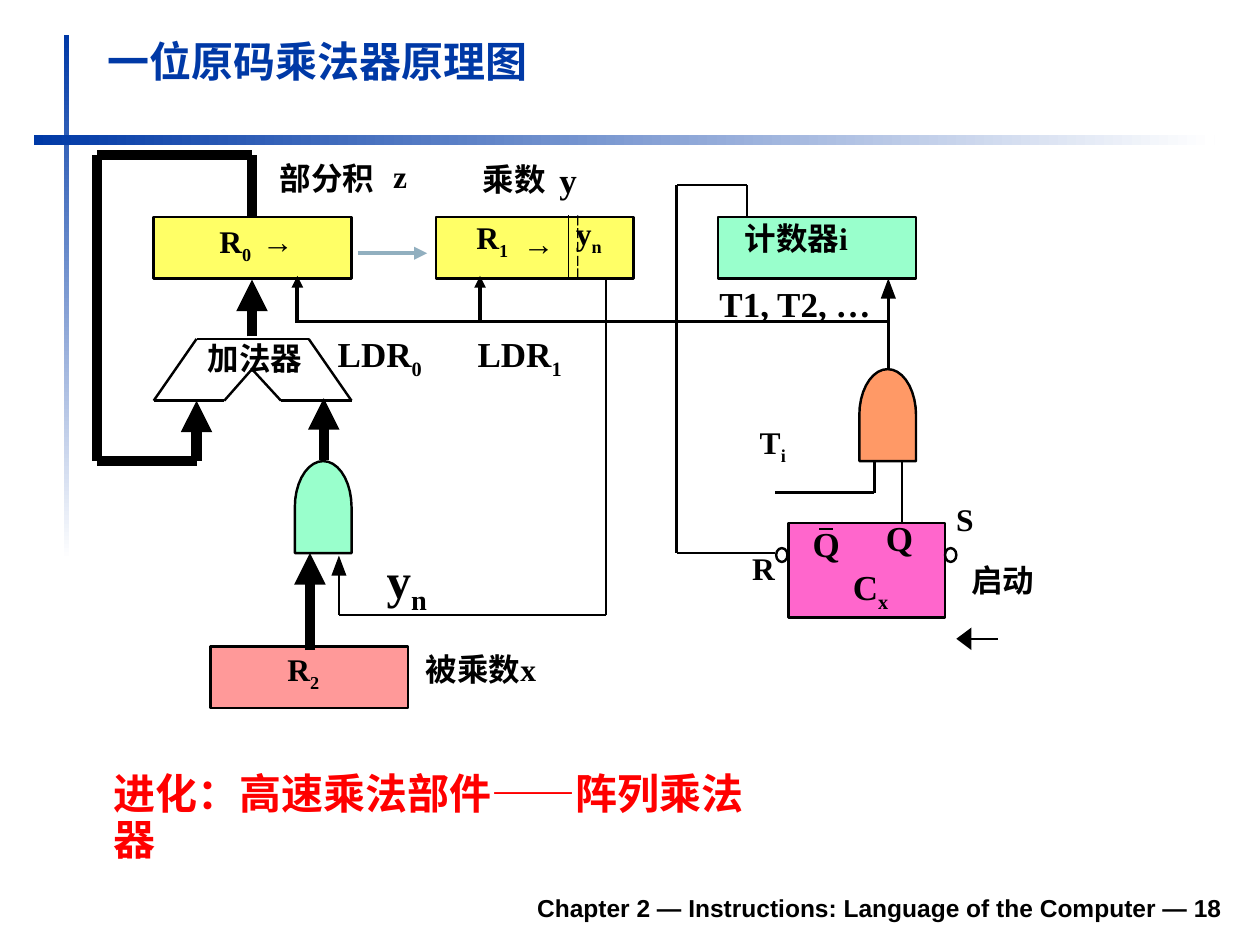
from itertools import pairwise
from math import cos, pi, sin

from lxml import etree
from pptx import Presentation
from pptx.dml.color import RGBColor
from pptx.enum.shapes import MSO_CONNECTOR, MSO_SHAPE
from pptx.enum.text import MSO_ANCHOR, MSO_AUTO_SIZE, PP_ALIGN
from pptx.oxml.ns import qn
from pptx.util import Pt

SCALE = 9144  # EMU in one px, 100 px to the inch
STRAIGHT = MSO_CONNECTOR.STRAIGHT
RECT, ROUND, OVAL = MSO_SHAPE.RECTANGLE, MSO_SHAPE.ROUNDED_RECTANGLE, MSO_SHAPE.OVAL
TOP, BOTTOM = MSO_ANCHOR.TOP, MSO_ANCHOR.BOTTOM
LEFT, RIGHT = PP_ALIGN.LEFT, PP_ALIGN.RIGHT
FIXED = MSO_AUTO_SIZE.NONE
SERIF, SANS = "Times New Roman", "Arial"
THIN, THICK = 1.39, 6
INSET = (10, 5)
COLORS = {
    "black": "000000", "white": "FFFFFF", "blue": "0039A6", "red": "FF0000",
    "yellow": "FFFF66", "rose": "FF9999", "mint": "99FFCC",
    "orange": "FF9966", "pink": "FF66CC", "steel": "91AFBF",
}


def rgb(name):
    return RGBColor.from_string(COLORS[name])


def px(*vals):
    return [round(v * SCALE) for v in vals]


def paint(shape, fill=None, line=None):
    shape.shadow.inherit = False
    if fill:
        shape.fill.solid()
        shape.fill.fore_color.rgb = rgb(fill)
    else:
        shape.fill.background()
    if line:
        shape.line.color.rgb = rgb("black")
        shape.line.width = Pt(line)
    else:
        shape.line.fill.background()


def block(shapes, box, x, y, w, h, fill=None, line=THIN, kind=RECT):
    shape = shapes.add_shape(kind, *px(box[0] + x, box[1] + y, w, h))
    paint(shape, fill, line)
    return shape


def wire(shapes, box, pts, width=THIN, color="black", arrow=False):
    """Join points with straight lines; an arrow ends the last one."""
    for start, end in pairwise(pts):
        ends = [a + b for p in (start, end) for a, b in zip(p, box)]
        part = shapes.add_connector(STRAIGHT, *px(*ends))
        part.line.color.rgb = rgb(color)
        part.line.width = Pt(width)
        props = part._element.spPr
        etree.SubElement(props, qn("a:effectLst"))
    if arrow:
        etree.SubElement(props.find(qn("a:ln")), qn("a:tailEnd"), type="triangle")


def outline(shapes, box, pts, fill, line=None):
    spots = [px(box[0] + x, box[1] + y) for x, y in pts]
    form = shapes.build_freeform(*spots[0], scale=1.0)
    form.add_line_segments(spots[1:], close=True)
    paint(form.convert_to_shape(), fill, line)


def gate(shapes, box, x, y, fill, w=45, h=73):
    """A round-topped AND gate."""
    arc = [(x + w / 2 * (1 - cos(pi * i / 18)), y + h / 2 * (1 - sin(pi * i / 18)))
           for i in range(19)]
    outline(shapes, box, arc + [(x + w, y + h), (x, y + h)], fill, THIN)


def tip(shapes, box, x, y):
    """An upward arrowhead with its point at x, y."""
    outline(shapes, box, [(x, y), (x + 6, y + 16), (x - 6, y + 16)], "black")


def style(shape, text, sub="", size=18, font=SERIF, color="black", inset=(0, 0),
          wrap=True, anchor=TOP, align=LEFT, gap=1.0):
    frame = shape.text_frame
    side, edge = px(*inset)
    look = {"word_wrap": wrap, "auto_size": FIXED, "vertical_anchor": anchor,
            "margin_left": side, "margin_right": side,
            "margin_top": edge, "margin_bottom": edge}
    for key, val in look.items():
        setattr(frame, key, val)
    para = frame.paragraphs[0]
    para.alignment, para.line_spacing = align, gap
    for part in filter(None, (text, sub)):
        run = para.add_run()
        run.text = part
        for key, val in {"size": Pt(size), "name": font, "bold": True}.items():
            setattr(run.font, key, val)
        run.font.color.rgb = rgb(color)
    if sub:
        run._r.get_or_add_rPr().set("baseline", "-25000")


def label(shapes, box, x, y, w, h, text, sub="", **look):
    area = shapes.add_textbox(*px(box[0] + x, box[1] + y, w, h))
    style(area, text, sub, **look)


def header(shapes, box):
    # Fading rules
    for x, y, w, h, angle in ((24, 6, 4, 417, 270), (0, 85, 937, 8, 0)):
        bar = block(shapes, box, x, y, w, h, "blue", None)
        bar.fill.gradient()
        bar.fill.gradient_angle = angle
        for stop, name in zip(bar.fill.gradient_stops, ("blue", "white")):
            stop.color.rgb = rgb(name)
    # Title
    title = shapes.title
    spot = px(box[0] + 48, box[1], 903, 51)
    for key, val in zip(("left", "top", "width", "height"), spot):
        setattr(title, key, val)
    style(title, "一位原码乘法器原理图", size=24, font=SANS, color="blue",
          inset=INSET, anchor=BOTTOM)


def data(shapes, box):
    # Registers
    for x, y, fill in ((52, 52, "yellow"), (276, 52, "yellow"), (97, 393, "rose")):
        block(shapes, box, x, y, 157, 49, fill)
    for x, y, w, text, sub in ((104, 56, 41, "R", "0"), (308, 53, 49, "R", "1"),
                               (387, 50, 49, "y", "n"), (158, 396, 39, "R", "2")):
        label(shapes, box, x, y, w, 34, text, sub)
    for x, y in ((138, 56), (345, 58)):
        label(shapes, box, x, y, 25, 30, "→", wrap=False)

    # Last bit of the multiplier
    for i in range(5):
        block(shapes, box, 388, 51 + round(10.5 * i), 1, 8, "black", None, ROUND)
    wire(shapes, box, [(381, 51), (381, 101)], 0.75)

    # Adder and gate
    wire(shapes, box, [(86, 149), (175, 149), (209, 198), (153, 198), (130, 173),
                       (108, 198), (52, 198), (86, 149)])
    gate(shapes, box, 164, 246, "mint")

    # Feedback loop and wide buses
    wire(shapes, box, [(130, 52), (130, 3), (7, 3), (7, 246), (86, 246)], THICK)
    for x, low, high in ((130, 147, 102), (187, 245, 196),
                         (176, 396, 319), (86, 246, 198)):
        wire(shapes, box, [(x, low), (x, high)], THICK, arrow=True)

    # Control wires
    wire(shapes, box, [(411, 100), (411, 368), (199, 368), (199, 336)])
    tip(shapes, box, 199, 321)
    wire(shapes, box, [(635, 135), (164, 135)])
    for x in (166, 311):
        wire(shapes, box, [(x, 135), (x, 99)], 2.25, arrow=True)
    wire(shapes, box, [(214, 81), (269, 81)], 2.5, "steel", True)

    # Names
    for x, y, w, text, size in ((152, 6, 75, "部分积", 18), (242, 5, 11, "z", 18),
                                (313, 7, 50, "乘数", 18), (374, 6, 14, "y", 20)):
        label(shapes, box, x, y, w, 30, text, size=size, wrap=False)
    label(shapes, box, 268, 396, 123, 30, "被乘数x")
    for x, sub in ((198, "0"), (309, "1")):
        label(shapes, box, x, 144, 85, 38, "LDR", sub, size=20)
    label(shapes, box, 85, 144, 95, 40, "加法器", inset=INSET, wrap=False)
    label(shapes, box, 227, 311, 85, 63, "y", "n", size=28, inset=INSET)


def control(shapes, box):
    # Counter, gate and flip-flop
    block(shapes, box, 40, 32, 157, 49, "mint")
    gate(shapes, box, 152, 153, "orange")
    block(shapes, box, 96, 275, 124, 75, "pink")
    for x in (86, 220):
        block(shapes, box, x, 295, 9, 11, kind=OVAL)

    # Wires
    for pts in ([(175, 153), (175, 95)],
                [(63, 32), (63, 7), (7, 7), (7, 299), (85, 299)],
                [(186, 275), (186, 226)],
                [(164, 226), (164, 251), (85, 251)],
                [(120, 280), (131, 280)],
                [(262, 367), (240, 367)]):
        wire(shapes, box, pts)
    tip(shapes, box, 175, 81)
    outline(shapes, box, [(229, 367), (241, 358), (241, 376)], "black")

    # Names
    label(shapes, box, 61, 34, 113, 30, "计数器i")
    label(shapes, box, 41, 84, 180, 33, "T1, T2, …", size=20)
    label(shapes, box, 73, 196, 37, 34, "T", "i")
    for x, y in ((173, 270), (115, 275)):
        label(shapes, box, x, y, 22, 33, "Q", size=20, wrap=False)
    for x, y, w, text in ((57, 291, 38, "R"), (219, 252, 34, "S"), (231, 300, 90, "启动")):
        label(shapes, box, x, y, w, 40, text, inset=INSET)
    label(shapes, box, 137, 285, 60, 67, "C", "x", size=20, inset=INSET, anchor=BOTTOM)


def footer(shapes, box):
    label(shapes, box, 0, 0, 527, 46, "进化：高速乘法部件——阵列乘法器",
          size=24, color="red", inset=INSET, gap=0.9)
    label(shapes, box, 105, 89, 795, 39,
          "Chapter 2 — Instructions: Language of the Computer — 18",
          size=14, font=SANS, inset=INSET, anchor=BOTTOM, align=RIGHT)


def main():
    deck = Presentation()
    deck.slide_width, deck.slide_height = px(1000, 750)
    shapes = deck.slides.add_slide(deck.slide_layouts[5]).shapes
    header(shapes, (27, 22))
    data(shapes, (70, 120))
    control(shapes, (530, 140))
    footer(shapes, (80, 609))
    deck.save("out.pptx")


if __name__ == "__main__":
    main()
